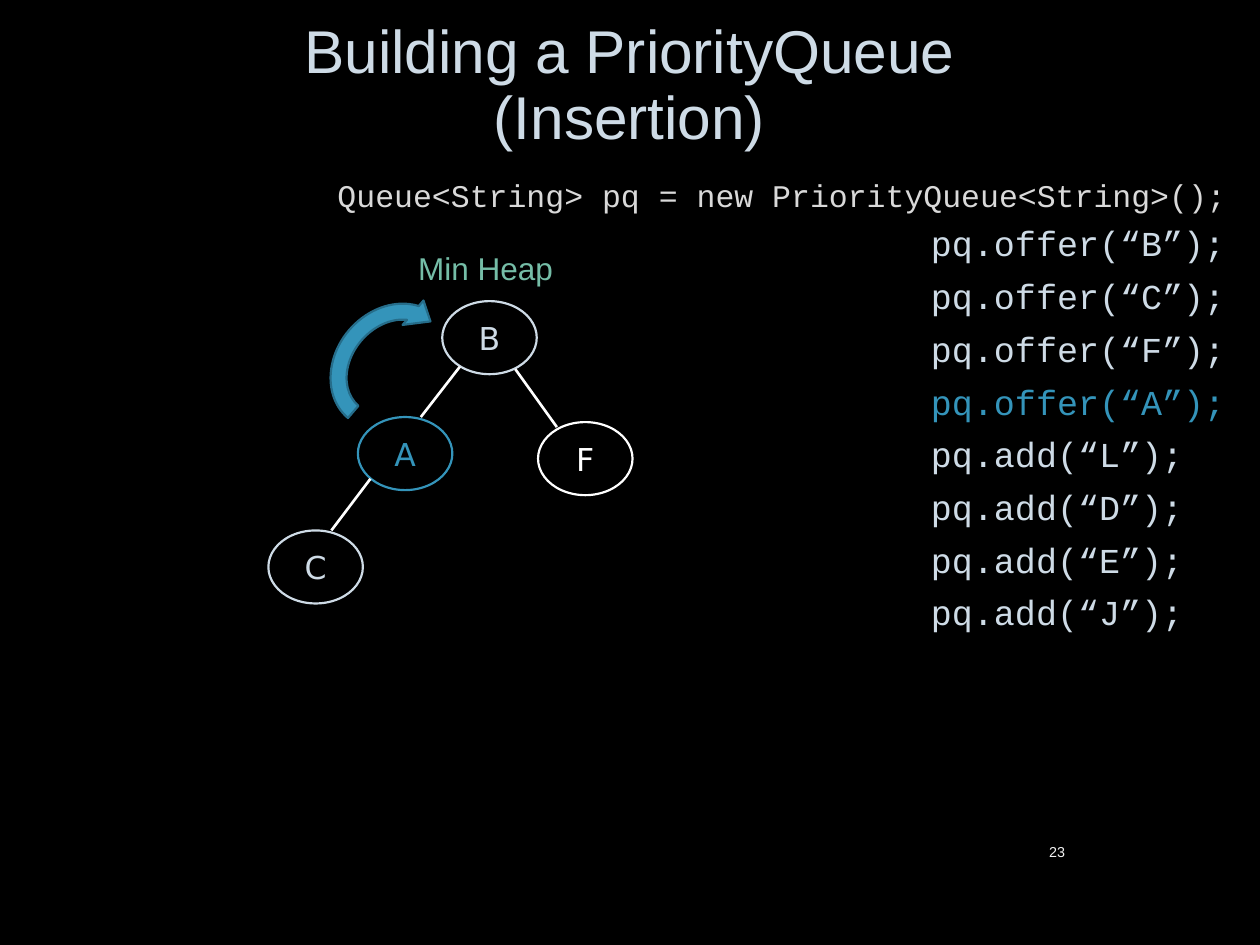
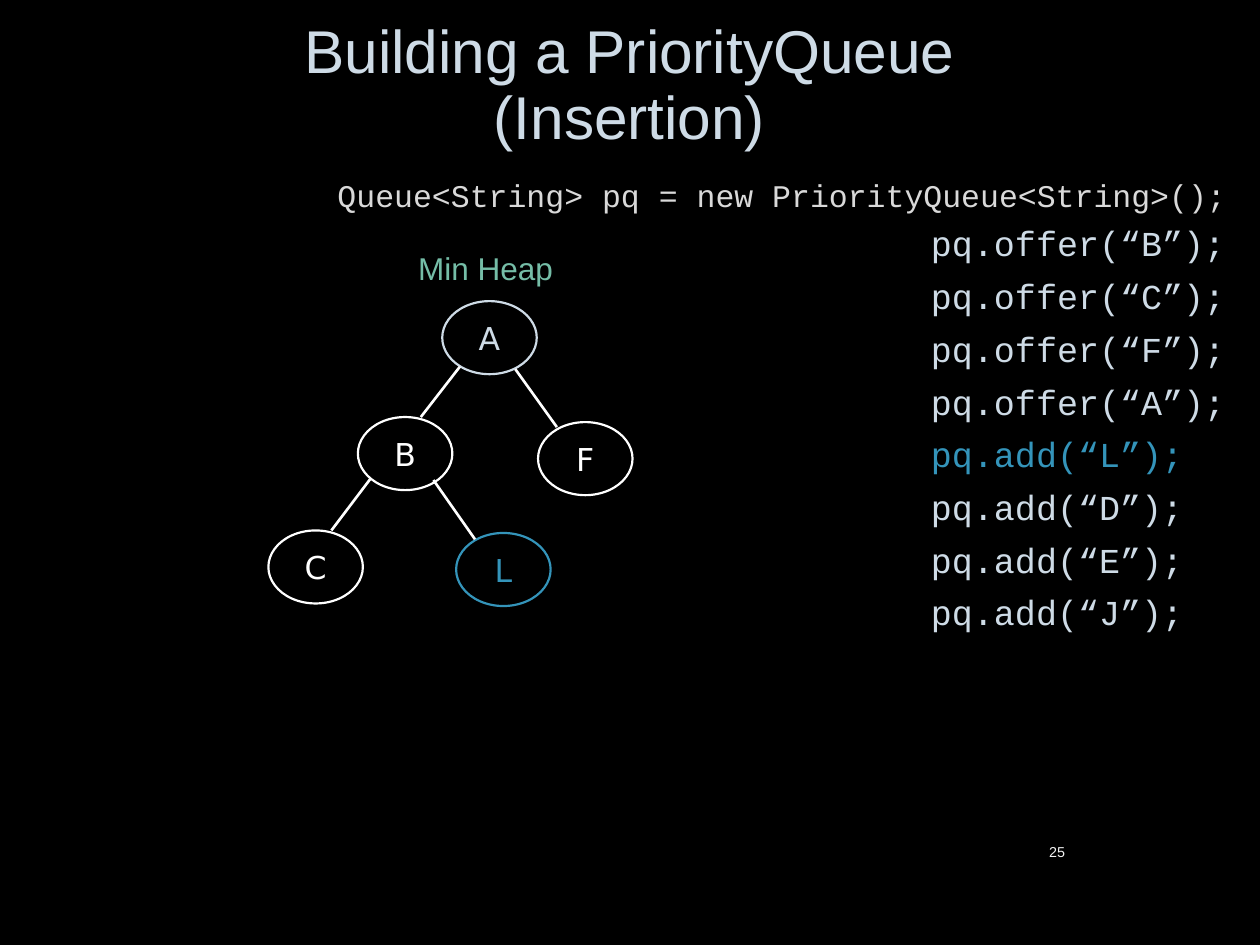
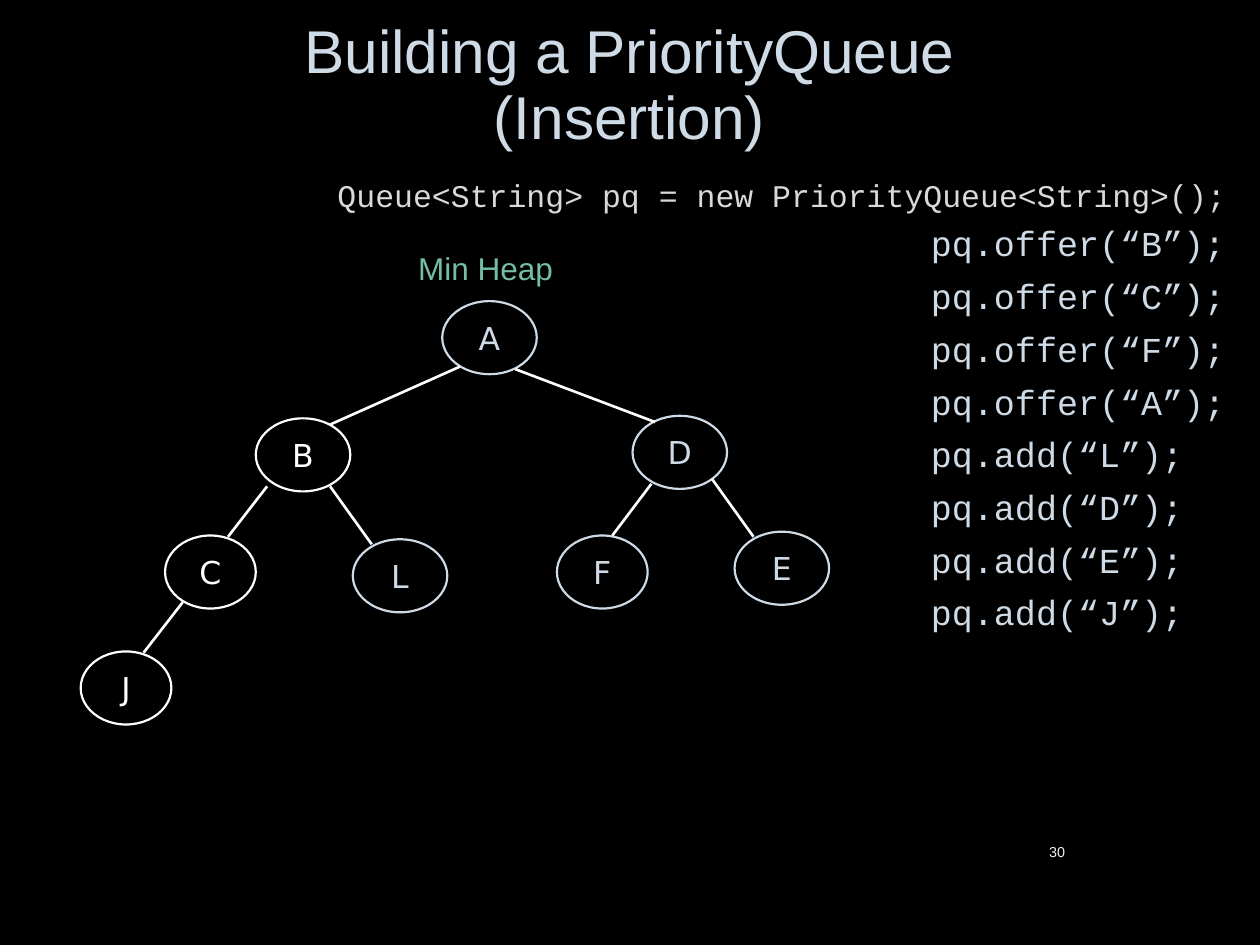
from lxml import etree
from pptx import Presentation
from pptx.dml.color import RGBColor
from pptx.enum.shapes import MSO_CONNECTOR, MSO_SHAPE
from pptx.enum.text import MSO_ANCHOR, PP_ALIGN
from pptx.oxml import parse_xml
from pptx.oxml.ns import nsdecls, qn
from pptx.util import Inches, Pt

ELLIPSE, ARROW = MSO_SHAPE.OVAL, MSO_SHAPE.CIRCULAR_ARROW
STRAIGHT = MSO_CONNECTOR.STRAIGHT
TOP, MIDDLE = MSO_ANCHOR.TOP, MSO_ANCHOR.MIDDLE
LEFT, CENTER, RIGHT = PP_ALIGN.LEFT, PP_ALIGN.CENTER, PP_ALIGN.RIGHT

COLORS = {
    "background": "000000", "pale": "CEDBE6", "white": "FFFFFF", "active": "3494BA",
    "arrow_edge": "266D8A", "heap": "75BDA7", "code": "D9D9D9", "number": "F2F2F2",
    "outline": "404040",
}
RGB = {name: RGBColor.from_string(value) for name, value in COLORS.items()}

# The slide is a grid of 100 columns by 75 rows.
COLUMNS, ROWS = 100, 75
CELL = Inches(0.1)
NODE_WIDTH, NARROW_WIDTH, NODE_HEIGHT = 7.5, 7.2, 5.8

STYLES = {
    "title": {"size": Pt(34.5), "name": "Arial"},
    "code": {"size": Pt(18), "name": "Courier New"},
    "calls": {"size": Pt(20), "name": "Courier New"},
    "label": {"size": Pt(18), "name": "Arial"},
    "node": {"size": Pt(18), "name": "DejaVu Sans"},
    "number": {"size": Pt(8.2), "name": "Arial"},
}
OUTLINED = ("title", "calls")
TIGHT = ("title", "code", "calls")

TITLE = "Building a PriorityQueue\n(Insertion)"
DECLARATION = "Queue<String> pq = new PriorityQueue<String>();"
CALLS = [f"pq.{method}(“{letter}”);"
         for method, letters in (("offer", "BCFA"), ("add", "LDEJ"))
         for letter in letters]

# Each node: letter, left, top, width, colour.  Each edge: from x, y, to x, y.
ROOT_EDGES = [(36.5, 29.1, 33.4, 33.1), (40.9, 29.3, 44.2, 33.9)]
LEFT_EDGE = (29.4, 38, 26.3, 42.1)
STEPS = [
    {"number": "23", "active_call": 3, "arrow": True,
     "nodes": [("B", 35.1, 23.9, NODE_WIDTH, "pale"),
               ("A", 28.4, 33.1, NODE_WIDTH, "active"),
               ("F", 42.7, 33.5, NODE_WIDTH, "white"),
               ("C", 21.3, 42.1, NODE_WIDTH, "pale")],
     "edges": ROOT_EDGES + [LEFT_EDGE]},
    {"number": "25", "active_call": 4, "arrow": False,
     "nodes": [("A", 35.1, 23.9, NODE_WIDTH, "pale"),
               ("B", 28.4, 33.1, NODE_WIDTH, "white"),
               ("F", 42.7, 33.5, NODE_WIDTH, "white"),
               ("C", 21.3, 42.1, NODE_WIDTH, "white"),
               ("L", 36.2, 42.3, NODE_WIDTH, "active")],
     "edges": ROOT_EDGES + [LEFT_EDGE, (34.4, 38.1, 37.7, 42.8)]},
    {"number": "30", "active_call": None, "arrow": False,
     "nodes": [("A", 35.1, 23.9, NODE_WIDTH, "pale"),
               ("B", 20.3, 33.2, NODE_WIDTH, "white"),
               ("D", 50.2, 33, NODE_WIDTH, "pale"),
               ("C", 13.1, 42.5, NARROW_WIDTH, "white"),
               ("L", 28, 42.8, NODE_WIDTH, "pale"),
               ("F", 44.2, 42.5, NARROW_WIDTH, "pale"),
               ("E", 58.3, 42.2, NODE_WIDTH, "pale"),
               ("J", 6.4, 51.7, NARROW_WIDTH, "white")],
     "edges": [(36.5, 29.1, 26.2, 33.7), (40.9, 29.3, 52, 33.5),
               (21.2, 38.6, 18.1, 42.6), (26.2, 38.6, 29.5, 43.2),
               (51.7, 38.4, 48.6, 42.5), (56.5, 38, 59.8, 42.6),
               (14.5, 47.8, 11.4, 51.8)]},
]


def cells(*values):
    return [int(value * CELL) for value in values]


def write(paragraph, text, style, color, alignment=LEFT):
    """Fill a paragraph in a named style; a newline becomes a line break."""
    paragraph.alignment = alignment
    if style in TIGHT:
        paragraph.line_spacing = 0.9
    for index, line in enumerate(text.split("\n")):
        if index:
            paragraph.add_line_break()
        run = paragraph.add_run()
        run.text = line
        for attribute, value in STYLES[style].items():
            setattr(run.font, attribute, value)
        run.font.color.rgb = RGB[color]
        if style in OUTLINED:
            run._r.get_or_add_rPr().insert(0, parse_xml(
                f'<a:ln {nsdecls("a")} w="9525"><a:solidFill>'
                f'<a:srgbClr val="{COLORS["outline"]}"><a:alpha val="10000"/></a:srgbClr>'
                '</a:solidFill></a:ln>'))


presentation = Presentation()
presentation.slide_width, presentation.slide_height = cells(COLUMNS, ROWS)
background = presentation.slide_master.background.fill
background.solid()
background.fore_color.rgb = RGB["background"]

for step in STEPS:
    slide = presentation.slides.add_slide(presentation.slide_layouts[6])
    shapes = slide.shapes

    for text, box, style, color, alignment, anchor in (
        (step["number"], (63, 65.6, 22.5, 4), "number", "number", RIGHT, MIDDLE),
        (DECLARATION, (25.8, 13.8, 77.5, 6.5), "code", "code", LEFT, TOP),
        ("Min Heap", (32.2, 19.3, 13.2, 4), "label", "heap", LEFT, TOP),
        (TITLE, (7.5, 0, 84.9, 13.8), "title", "pale", CENTER, MIDDLE),
    ):
        frame = shapes.add_textbox(*cells(*box)).text_frame
        frame.word_wrap = True
        frame.vertical_anchor = anchor
        write(frame.paragraphs[0], text, style, color, alignment)

    frame = shapes.add_textbox(*cells(72.9, 17.5, 26.3, 35.8)).text_frame
    frame.word_wrap = True
    for index, call in enumerate(CALLS):
        paragraph = frame.add_paragraph() if index else frame.paragraphs[0]
        write(paragraph, call, "calls", "active" if index == step["active_call"] else "pale")
        paragraph.space_before, paragraph.space_after = Pt(0), Pt(4.5)
        before = paragraph._p.pPr.find(qn("a:spcBef"))
        before.remove(before[0])
        etree.SubElement(before, qn("a:spcPct"), val="20000")

    for letter, left, top, width, color in step["nodes"]:
        node = shapes.add_shape(ELLIPSE, *cells(left, top, width, NODE_HEIGHT))
        node.shadow.inherit = False
        node.fill.background()
        node.line.color.rgb = RGB[color]
        node.line.width = Pt(1.25)
        node.text_frame.word_wrap = False
        node.text_frame.vertical_anchor = MIDDLE
        write(node.text_frame.paragraphs[0], letter, "node", color, CENTER)

    for edge in step["edges"]:
        connector = shapes.add_connector(STRAIGHT, *cells(*edge))
        connector.line.color.rgb = RGB["white"]
        connector.line.width = Pt(1.5)
        etree.SubElement(connector._element.spPr, qn("a:effectLst"))

    if step["arrow"]:
        arrow = shapes.add_shape(ARROW, *cells(25.1, 24, 12, 10.2))
        arrow.rotation = 310.5
        arrow.shadow.inherit = False
        arrow.fill.solid()
        arrow.fill.fore_color.rgb = RGB["active"]
        arrow.line.color.rgb = RGB["arrow_edge"]
        arrow.line.width = Pt(1.25)

presentation.save("out.pptx")
